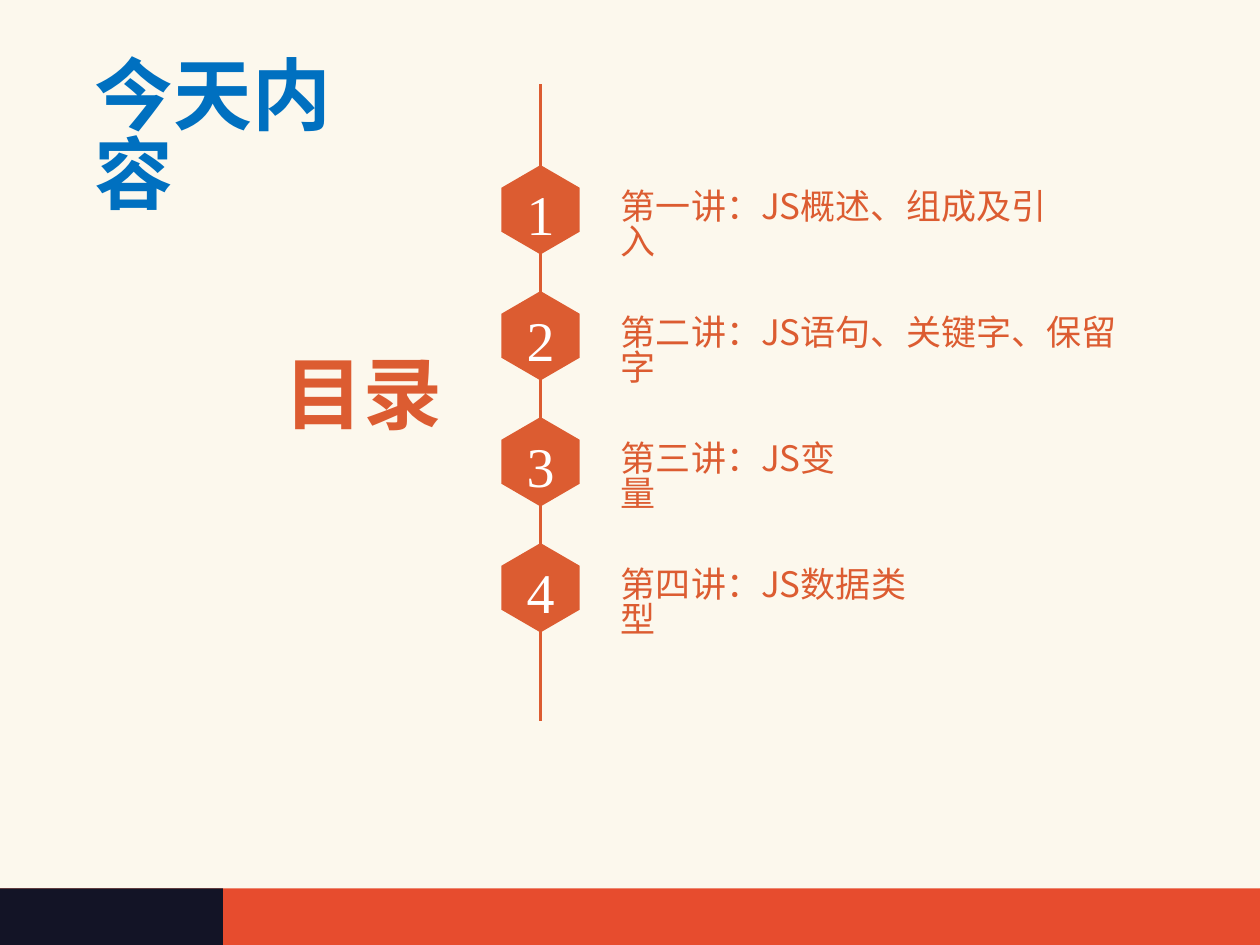
"""Build the agenda slide with a numbered vertical spine."""
import dataclasses

import lxml.etree
import pptx
import pptx.dml.color
import pptx.enum.shapes
import pptx.enum.text
import pptx.oxml
import pptx.oxml.ns
import pptx.util

Inches = pptx.util.Inches


@dataclasses.dataclass(frozen=True)
class Theme:
    cream: str = "FCF8ED"
    red: str = "E74C2E"
    navy: str = "131426"
    orange: str = "DC5C31"
    blue: str = "0070C0"
    white: str = "FFFFFF"
    text_font: str = "Noto Sans CJK SC"
    number_font: str = "Times New Roman"
    heading_size: int = 45
    number_size: int = 32
    item_size: int = 20
    line_spacing: float = 0.83


THEME = Theme()
ITEMS = [
    ("第一讲：JS概述、组成及引入", 3.84),
    ("第二讲：JS语句、关键字、保留字", 4.36),
    ("第三讲：JS变量", 2.16),
    ("第四讲：JS数据类型", 2.69),
]
SPINE_X = 4.29
FIRST_TOP = 1.31
PITCH = 1.0


def rgb(color):
    return pptx.dml.color.RGBColor.from_string(color)


def paint(shape, color):
    shape.shadow.inherit = False
    shape.fill.solid()
    shape.fill.fore_color.rgb = rgb(color)
    shape.line.fill.background()


def write(shape, text, font_name, size, color, bold=False, centred=False):
    align = pptx.enum.text.PP_ALIGN
    shape.text_frame.text = text
    paragraph = shape.text_frame.paragraphs[0]
    paragraph.alignment = align.CENTER if centred else align.LEFT
    font = paragraph.font
    font.name = font_name
    font.size = pptx.util.Pt(size)
    font.bold = bold
    font.color.rgb = rgb(color)
    east_asian = pptx.oxml.ns.qn("a:ea")
    latin = font._element.find(pptx.oxml.ns.qn("a:latin"))
    latin.addnext(latin.makeelement(east_asian, {"typeface": font_name}))
    return paragraph


def set_frame(shape, wrap, top_inset):
    frame = shape.text_frame
    frame.word_wrap = wrap
    frame.auto_size = pptx.enum.text.MSO_AUTO_SIZE.NONE
    frame.vertical_anchor = pptx.enum.text.MSO_ANCHOR.TOP
    frame.margin_top = Inches(top_inset)


def write_heading(shape, text, color):
    set_frame(shape, False, 0.1)
    paragraph = write(shape, text, THEME.text_font, THEME.heading_size, color, bold=True)
    paragraph.line_spacing = THEME.line_spacing


def add_band(slide, left, width, color):
    rectangle = pptx.enum.shapes.MSO_SHAPE.RECTANGLE
    band = slide.shapes.add_shape(
        rectangle, Inches(left), Inches(7.05), Inches(width), Inches(0.45))
    paint(band, color)


def add_spine(slide):
    straight = pptx.enum.shapes.MSO_CONNECTOR.STRAIGHT
    spine = slide.shapes.add_connector(
        straight, Inches(SPINE_X), Inches(0.67), Inches(SPINE_X), Inches(5.72))
    spine.line.color.rgb = rgb(THEME.orange)
    spine.line.width = pptx.util.Pt(1.5)
    lxml.etree.SubElement(spine._element.spPr, pptx.oxml.ns.qn("a:effectLst"))


def add_hexagon(slide, number, top):
    half_width, height, shoulder = 0.31, 0.71, 0.18
    left, right = SPINE_X - half_width, SPINE_X + half_width
    upper, lower = top + shoulder, top + height - shoulder
    corners = [(right, upper), (right, lower), (SPINE_X, top + height),
               (left, lower), (left, upper)]
    builder = slide.shapes.build_freeform(Inches(SPINE_X), Inches(top), scale=1.0)
    builder.add_line_segments([(Inches(x), Inches(y)) for x, y in corners], close=True)
    hexagon = builder.convert_to_shape()
    paint(hexagon, THEME.orange)
    frame = hexagon.text_frame
    frame.margin_left = frame.margin_right = frame.margin_bottom = 0
    frame.margin_top = Inches(0.05)
    frame.vertical_anchor = pptx.enum.text.MSO_ANCHOR.MIDDLE
    write(hexagon, str(number), THEME.number_font, THEME.number_size,
          THEME.white, centred=True)


def add_item(slide, text, top, width):
    box = slide.shapes.add_textbox(
        Inches(4.83), Inches(top), Inches(width), Inches(0.45))
    set_frame(box, True, 0.08)
    paragraph = write(box, text, THEME.text_font, THEME.item_size, THEME.orange)
    paragraph.line_spacing = THEME.line_spacing


def main():
    presentation = pptx.Presentation()
    presentation.slide_width = Inches(10)
    presentation.slide_height = Inches(7.5)
    slide = presentation.slides.add_slide(presentation.slide_layouts[5])
    slide.background.fill.solid()
    slide.background.fill.fore_color.rgb = rgb(THEME.cream)

    add_band(slide, 0, 10, THEME.red)
    add_band(slide, 0, 1.77, THEME.navy)
    add_spine(slide)
    for index, (text, width) in enumerate(ITEMS):
        top = FIRST_TOP + index * PITCH
        add_hexagon(slide, index + 1, top)
        add_item(slide, text, top + 0.13, width)

    contents = slide.shapes.add_textbox(
        Inches(2.16), Inches(2.76), Inches(1.47), Inches(0.86))
    write_heading(contents, "目录", THEME.orange)

    title = slide.shapes.title
    title.left, title.top = Inches(0.65), Inches(0.39)
    title.width, title.height = Inches(2.7), Inches(0.9)
    write_heading(title, "今天内容", THEME.blue)

    presentation.save("out.pptx")


if __name__ == "__main__":
    main()
